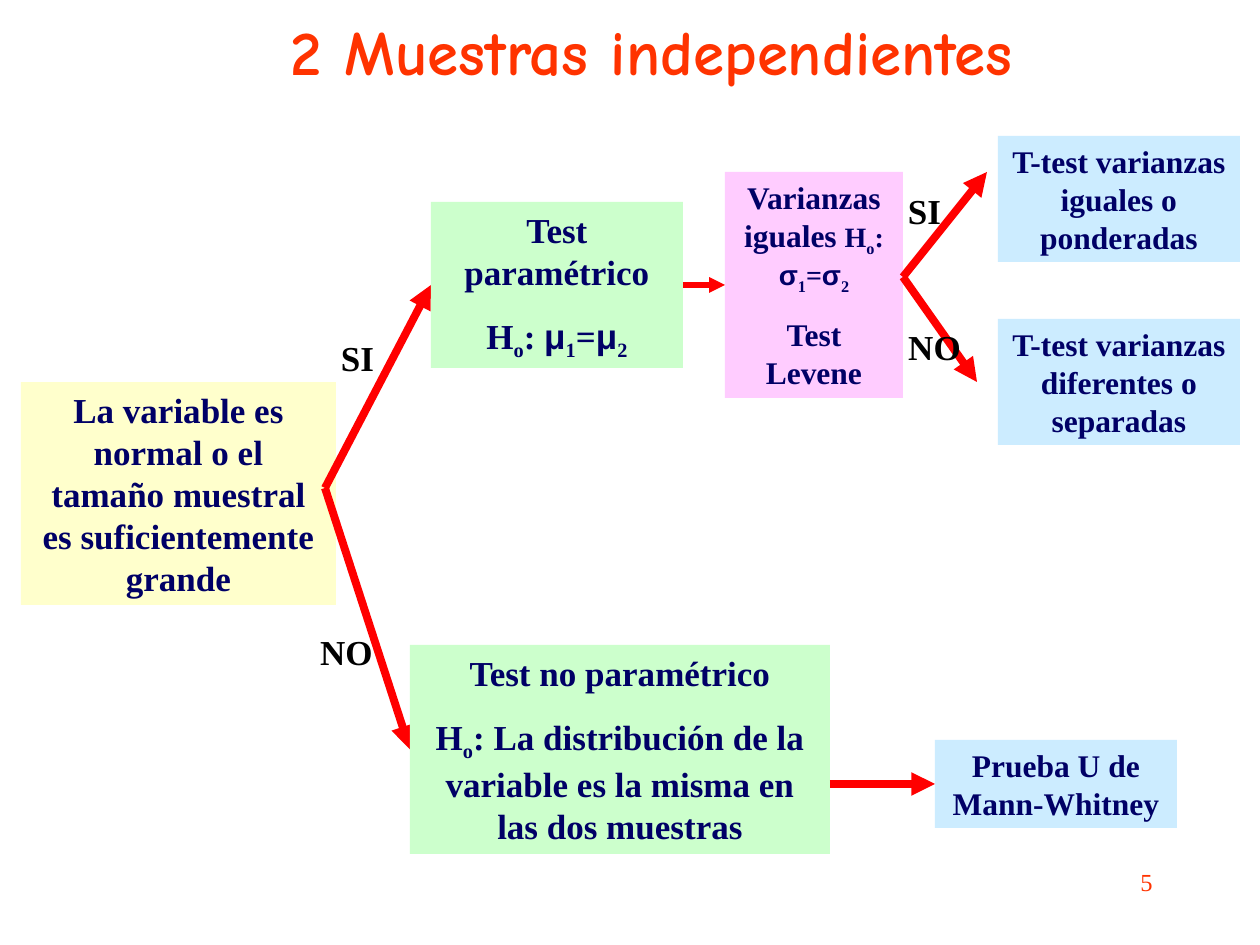
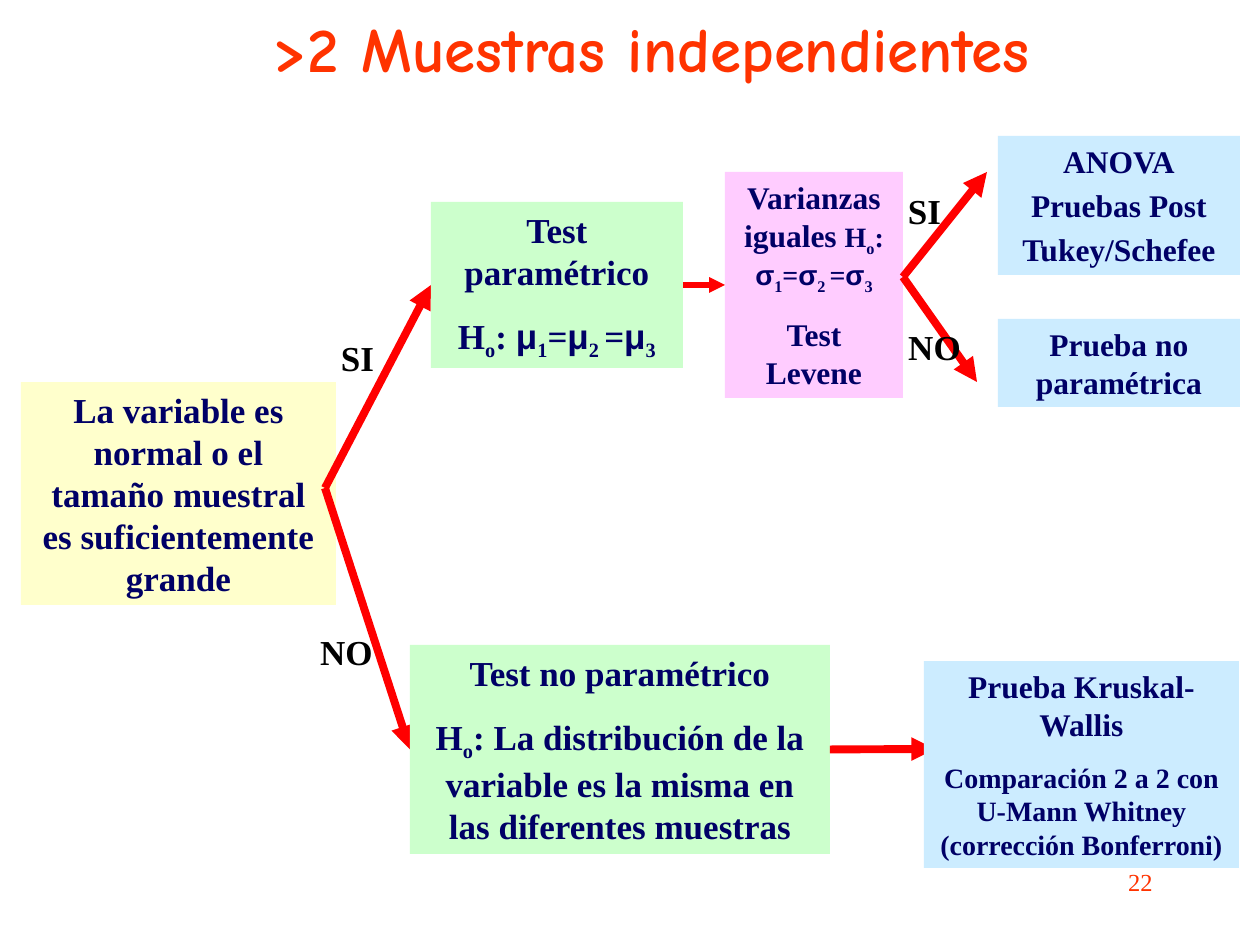
from collections import namedtuple
from dataclasses import dataclass

from lxml.etree import SubElement
from pptx import Presentation
from pptx.dml.color import RGBColor
from pptx.enum.shapes import MSO_CONNECTOR as Connector, MSO_SHAPE as Shape
from pptx.enum.text import MSO_ANCHOR as Anchor, MSO_AUTO_SIZE as AutoSize, PP_ALIGN as Align
from pptx.oxml.ns import qn
from pptx.util import Emu, Pt

SCALE = 914400 / 126
NAVY, BLACK, RED, ORANGE = "000066", "000000", "FF0000", "FF3300"
YELLOW, GREEN, PINK, BLUE = "FFFFCC", "CCFFCC", "FFCCFF", "CCECFF"
SERIF, SYMBOL, TITLE = "Times New Roman", "Arial", "Comic Neue"
TOP, LEFT, BOTTOM, RIGHT = range(4)

Box = namedtuple("Box", "left top width height")
Line = namedtuple("Line", "space pieces")


@dataclass
class Flow:
    title: str
    title_height: int
    means: str
    sigmas: str
    samples: str
    equal: tuple
    unequal: tuple
    nonparametric: tuple
    number: str


def px(value):
    return Emu(round(value * SCALE))


def color(code):
    return RGBColor.from_string(code)


def inside(area, box):
    return Box(area.left + box.left, area.top + box.top, box.width, box.height)


def format_run(run, size, ink, bold=True, font=SERIF):
    run.font.size, run.font.bold, run.font.name = Pt(size), bold, font
    run.font.color.rgb = color(ink)


def write(frame, lines, ink=NAVY, align=Align.CENTER, bold=True):
    frame.word_wrap = True
    frame.vertical_anchor = Anchor.TOP
    for index, line in enumerate(lines):
        para = frame.add_paragraph() if index else frame.paragraphs[0]
        para.alignment = align
        para.space_before = Pt(line.space if index else 0)
        for size, text in line.pieces:
            for piece in text.split("|"):
                run = para.add_run()
                run.text = piece.removeprefix("_")
                format_run(run, size, ink, bold, SYMBOL if piece in ("μ", "σ") else SERIF)
                if piece.startswith("_"):
                    run.font._element.set("baseline", "-25000")


def line(text, size=20, space=12.5):
    return Line(space, [(size, text)])


def panel(page, box, lines, fill):
    shape = page.shapes.add_shape(Shape.RECTANGLE, *map(px, box))
    shape.shadow.inherit = False
    shape.fill.solid()
    shape.fill.fore_color.rgb = color(fill)
    shape.line.fill.background()
    write(shape.text_frame, lines)
    shape.text_frame.auto_size = AutoSize.SHAPE_TO_FIT_TEXT
    return shape


def label(page, box, lines, **style):
    write(page.shapes.add_textbox(*map(px, box)).text_frame, lines, **style)


def arrow(page, start, end, width=4.5):
    link = page.shapes.add_connector(Connector.STRAIGHT, *map(px, (*start, *end)))
    link.line.color.rgb = color(RED)
    link.line.width = Pt(width)
    SubElement(link.line._get_or_add_ln(), qn("a:tailEnd"), type="triangle")
    SubElement(link._element.spPr, qn("a:effectLst"))
    return link


def heading(page, box, text):
    title = page.shapes.title
    title.left, title.top, title.width, title.height = map(px, box)
    frame = title.text_frame
    frame.text = text
    frame.auto_size = AutoSize.NONE
    frame.vertical_anchor = Anchor.MIDDLE
    para = frame.paragraphs[0]
    para.alignment = Align.CENTER
    format_run(para.runs[0], 36, ORANGE, font=TITLE)


def fork(page, area, question, lines, fill, stem, tips, corners):
    shape = panel(page, inside(area, question), lines, fill)
    start = area.left + stem[0], area.top + stem[1]
    links = [arrow(page, start, (area.left + x, area.top + y)) for x, y in tips]
    for text, (x, y) in zip(("SI", "NO"), corners):
        label(page, inside(area, Box(x, y, 147, 55)), [line(text)], ink=BLACK)
    return shape, links


def normality_region(page, area):
    text = "La variable es normal o el tamaño muestral es suficientemente grande"
    return fork(page, area, Box(0, 95, 315, 223), [line(text)], YELLOW, (304, 201),
                [(area.width, 0), (389, area.height)], [(263, 43), (252, 337)])[1]


def variance_region(page, area, flow):
    lines = [Line(10, [(18, "Varianzas iguales "), (16, "H|_o|: |" + flow.sigmas)]),
             line("Test Levene", 18, 11.2)]
    shape, _ = fork(page, area, Box(0, 0, 178, 226), lines, PINK, (178, 105),
                    [(262, 0), (252, 210)], [(126, 11), (136, 147)])
    for top, (height, results) in ((-36, flow.equal), (147, flow.unequal)):
        panel(page, inside(area, Box(273, top, 242, height)), results, BLUE)
    return shape


def nonparametric_region(page, area, flow):
    text = f"H|_o|: La distribución de la variable es la misma en {flow.samples}"
    shape = panel(page, Box(area.left, area.top, 420, 209),
                  [line("Test no paramétrico"), line(text)], GREEN)
    box, lines, joins_result = flow.nonparametric
    target = inside(area, box)
    height = target.top + target.height // 2 if joins_result else area.top + 104
    link = arrow(page, (area.left + 420, height), (area.left + 525, height))
    result = panel(page, target, lines, BLUE)
    if joins_result:
        link.end_connect(result, LEFT)
    else:
        link.begin_connect(shape, RIGHT)
    return shape


def flow_page(deck, flow):
    page = deck.slides.add_slide(deck.slide_layouts[5])
    heading(page, Box(116, 0, 1071, flow.title_height), flow.title)
    to_parametric, to_nonparametric = normality_region(page, Box(21, 287, 410, 463))
    parametric = panel(page, Box(431, 202, 252, 166),
                       [line("Test paramétrico"), line("H|_o|: |" + flow.means)], GREEN)
    nonparametric = nonparametric_region(page, Box(410, 645, 830, 224), flow)
    variance = variance_region(page, Box(725, 172, 515, 273), flow)
    to_variance = arrow(page, (683, 285), (725, 285), 3)
    to_parametric.end_connect(parametric, LEFT)
    to_nonparametric.end_connect(nonparametric, LEFT)
    to_variance.begin_connect(parametric, RIGHT)
    to_variance.end_connect(variance, LEFT)
    label(page, Box(903, 861, 262, 63), [line(flow.number, 14)],
          ink=ORANGE, align=Align.RIGHT, bold=False)


FLOWS = [
    Flow("2 Muestras independientes", 100, "μ|_1|=|μ|_2", "σ|_1|=|σ|_2", "las dos muestras",
         (126, [line("T-test varianzas iguales o ponderadas", 18)]),
         (126, [line("T-test varianzas diferentes o separadas", 18)]),
         (Box(525, 95, 242, 88), [line("Prueba U de Mann-Whitney", 18)], True), "5"),
    Flow(">2 Muestras independientes", 94, "μ|_1|=|μ|_2 |=|μ|_3", "σ|_1|=|σ|_2 |=|σ|_3",
         "las diferentes muestras",
         (139, [line(text, 18, 3.4) for text in ("ANOVA", "Pruebas Post", "Tukey/Schefee")]),
         (88, [line("Prueba no paramétrica", 18)]),
         (Box(514, 16, 315, 207),
          [line("Prueba Kruskal-Wallis", 18),
           line("Comparación 2 a 2 con U-Mann Whitney (corrección Bonferroni)", 16, 10)], False),
         "22"),
]


def main():
    deck = Presentation()
    deck.slide_width, deck.slide_height = px(1260), px(945)
    for flow in FLOWS:
        flow_page(deck, flow)
    deck.save("out.pptx")


if __name__ == "__main__":
    main()
